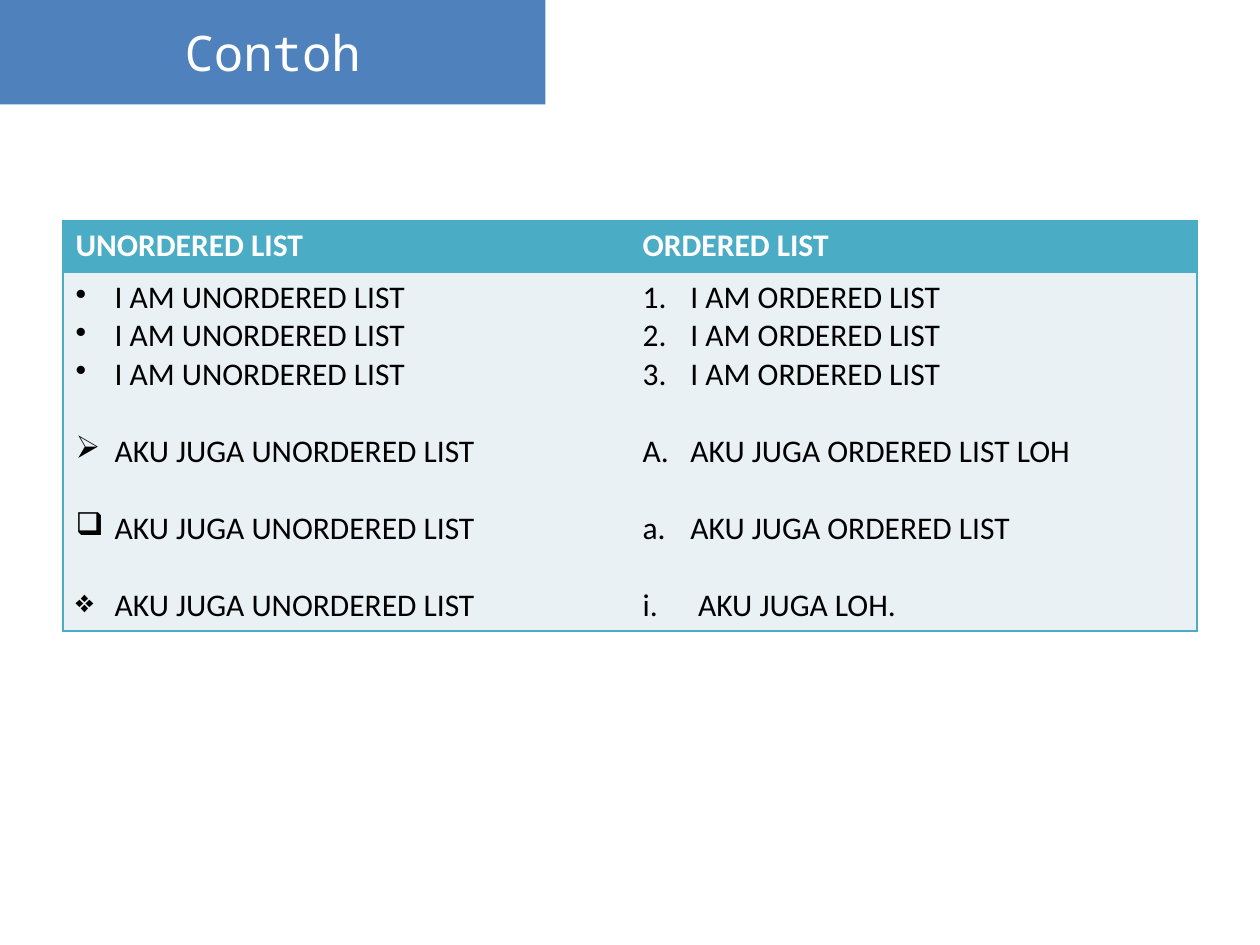
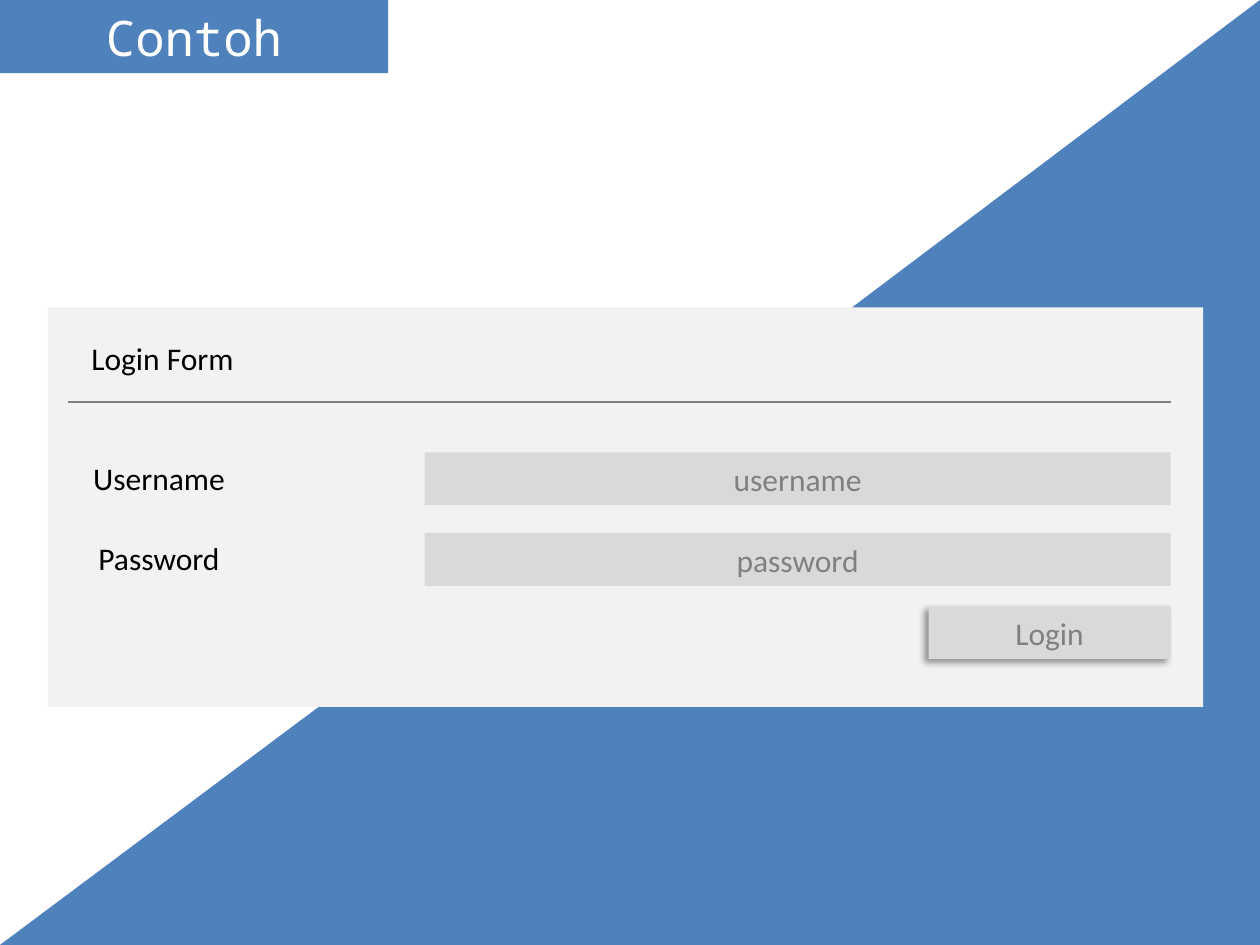
from dataclasses import dataclass

from lxml.etree import SubElement
from pptx import Presentation
from pptx.dml.color import RGBColor
from pptx.enum.shapes import MSO_CONNECTOR as Connector, MSO_SHAPE as Shape
from pptx.enum.text import MSO_ANCHOR as Anchor, PP_ALIGN as Align
from pptx.oxml import parse_xml
from pptx.oxml.ns import nsdecls, qn
from pptx.util import Inches, Pt


@dataclass(frozen=True)
class Theme:
    blue: str = "4F81BD"
    teal: str = "4BACC6"
    pale: str = "E9F1F5"
    panel: str = "F2F2F2"
    field: str = "D9D9D9"
    grey: str = "808080"
    white: str = "FFFFFF"
    black: str = "000000"
    title_font: str = "Noto Sans Mono"
    body_font: str = "Calibri"
    title_size: int = 28
    body_size: int = 18
    line_pitch: int = 22  # height of one body line, in points


THEME = Theme()
NO_TABLE_STYLE = "{2D5ABB26-0587-4C30-8999-92F81FD0307C}"

# Each item: text, marker, indent in inches, and whether a gap precedes it
UNORDERED = [("I AM UNORDERED LIST", "•", 0.31, False)] * 3 + [
    ("AKU JUGA UNORDERED LIST", marker, 0.31, True) for marker in "➢❑❖"
]
ORDERED = [("I AM ORDERED LIST", "arabicPeriod", 0.38, False)] * 3 + [
    ("AKU JUGA ORDERED LIST LOH", "alphaUcPeriod", 0.38, True),
    ("AKU JUGA ORDERED LIST", "alphaLcPeriod", 0.38, True),
    ("AKU JUGA LOH.", "romanLcPeriod", 0.44, True),
]


# Shared helpers
def style(para, color, size=THEME.body_size, name=THEME.body_font, bold=False):
    font = para.font
    font.name, font.size, font.bold = name, Pt(size), bold
    font.color.rgb = RGBColor.from_string(color)


def paint(target, color):
    target.fill.solid()
    target.fill.fore_color.rgb = RGBColor.from_string(color)


def add_block(shapes, box, color):
    block = shapes.add_shape(Shape.RECTANGLE, *map(Inches, box))
    paint(block, color)
    block.line.fill.background()
    block.shadow.inherit = False
    return block


def write_centred(shape, text, color, **font):
    frame = shape.text_frame
    frame.word_wrap = True
    para = frame.paragraphs[0]
    para.text, para.alignment = text, Align.CENTER
    style(para, color, **font)


def add_filled_text(shapes, box, fill, text, color, **font):
    block = add_block(shapes, box, fill)
    block.text_frame.vertical_anchor = Anchor.MIDDLE
    write_centred(block, text, color, **font)
    return block


def add_title(page, width, height):
    add_filled_text(page.shapes, (0, 0, width, height), THEME.blue, "Contoh",
                    THEME.white, size=THEME.title_size, name=THEME.title_font)


# List table
def add_marker(para, marker, indent):
    props = para._p.get_or_add_pPr()
    props.set("marL", str(Inches(indent)))
    props.set("indent", str(-Inches(indent)))
    if len(marker) == 1:
        SubElement(props, qn("a:buChar"), char=marker)
    else:
        SubElement(props, qn("a:buAutoNum"), type=marker)


def fill_list(cell, items):
    frame = cell.text_frame
    for index, (text, marker, indent, gap) in enumerate(items):
        para = frame.add_paragraph() if index else frame.paragraphs[0]
        para.text = text
        add_marker(para, marker, indent)
        if gap:
            para.space_before = Pt(THEME.line_pitch)
        style(para, THEME.black)


def set_borders(cell, sides):
    props = cell._tc.get_or_add_tcPr()
    for index, side in enumerate(sides):
        props.insert(index, parse_xml(
            f'<a:ln{side} {nsdecls("a")} w="{Pt(1)}"><a:solidFill>'
            f'<a:srgbClr val="{THEME.teal}"/></a:solidFill></a:ln{side}>'))


def add_list_table(page, left, top, width, head_height, body_height):
    frame = page.shapes.add_table(2, 2, *map(
        Inches, (left, top, width, head_height + body_height)))
    table = frame.table
    frame.element.find(".//" + qn("a:tableStyleId")).text = NO_TABLE_STYLE
    for row, height in zip(table.rows, (head_height, body_height)):
        row.height = Inches(height)
    columns = [("UNORDERED LIST", UNORDERED, "L"), ("ORDERED LIST", ORDERED, "R")]
    for index, (heading, items, outer_side) in enumerate(columns):
        head, body = table.cell(0, index), table.cell(1, index)
        head.text = heading
        style(head.text_frame.paragraphs[0], THEME.white, bold=True)
        fill_list(body, items)
        for cell, color in ((head, THEME.teal), (body, THEME.pale)):
            paint(cell, color)
            set_borders(cell, (outer_side, "T", "B"))


# Login form
def add_diagonal(page, width, height):
    corners = [(width, 0), (width, height), (0, height)]
    builder = page.shapes.build_freeform(Inches(5.41), Inches(3.46))
    builder.add_line_segments([(Inches(x), Inches(y)) for x, y in corners])
    triangle = builder.convert_to_shape()
    paint(triangle, THEME.blue)
    triangle.line.fill.background()
    triangle.shadow.inherit = False


def add_label(shapes, left, top, text):
    label = shapes.add_textbox(*map(Inches, (left, top, 1.5, 0.4)))
    write_centred(label, text, THEME.black)


def add_rule(shapes, left, right, y):
    rule = shapes.add_connector(Connector.STRAIGHT, *map(Inches, (left, y, right, y)))
    rule.line.width = Pt(0.75)
    rule.line.color.rgb = RGBColor.from_string(THEME.grey)
    SubElement(rule.element.spPr, qn("a:effectLst"))


def add_field(shapes, right, top, width, text):
    return add_filled_text(shapes, (right - width, top, width, 0.42),
                           THEME.field, text, THEME.grey)


def add_shadow(shape):
    effects = shape.element.spPr.find(qn("a:effectLst"))
    effects.append(parse_xml(
        f'<a:outerShdw {nsdecls("a")} blurRad="{Pt(4)}" dist="{Pt(3)}" '
        f'dir="{135 * 60000}" algn="tr" rotWithShape="0">'
        f'<a:srgbClr val="{THEME.black}"><a:alpha val="40000"/></a:srgbClr>'
        '</a:outerShdw>'))


def add_login_form(page, left, top, width, height):
    shapes = page.shapes.add_group_shape().shapes
    inner_left, inner_right = left + 0.16, left + width - 0.26
    add_block(shapes, (left, top, width, height), THEME.panel)
    add_label(shapes, inner_left, top + 0.2, "Login Form")
    add_rule(shapes, inner_left, inner_right, top + 0.75)
    for index, name in enumerate(("username", "password")):
        row_top = top + 1.15 + index * 0.64
        add_field(shapes, inner_right, row_top, 5.92, name)
        add_label(shapes, inner_left, row_top, name.capitalize() + " ")
    add_shadow(add_field(shapes, inner_right, top + 2.37, 1.92, "Login"))


# Slides
def build_list_page(page):
    add_title(page, 4.33, 0.83)
    add_list_table(page, 0.5, 1.75, 9, 0.41, 2.8)


def build_login_page(page):
    add_diagonal(page, 10, 7.5)
    add_title(page, 3.08, 0.58)
    add_login_form(page, 0.38, 2.44, 9.17, 3.17)


def main():
    deck = Presentation()
    deck.slide_width, deck.slide_height = Inches(10), Inches(7.5)
    for build in (build_list_page, build_login_page):
        build(deck.slides.add_slide(deck.slide_layouts[6]))
    deck.save("out.pptx")


if __name__ == "__main__":
    main()
